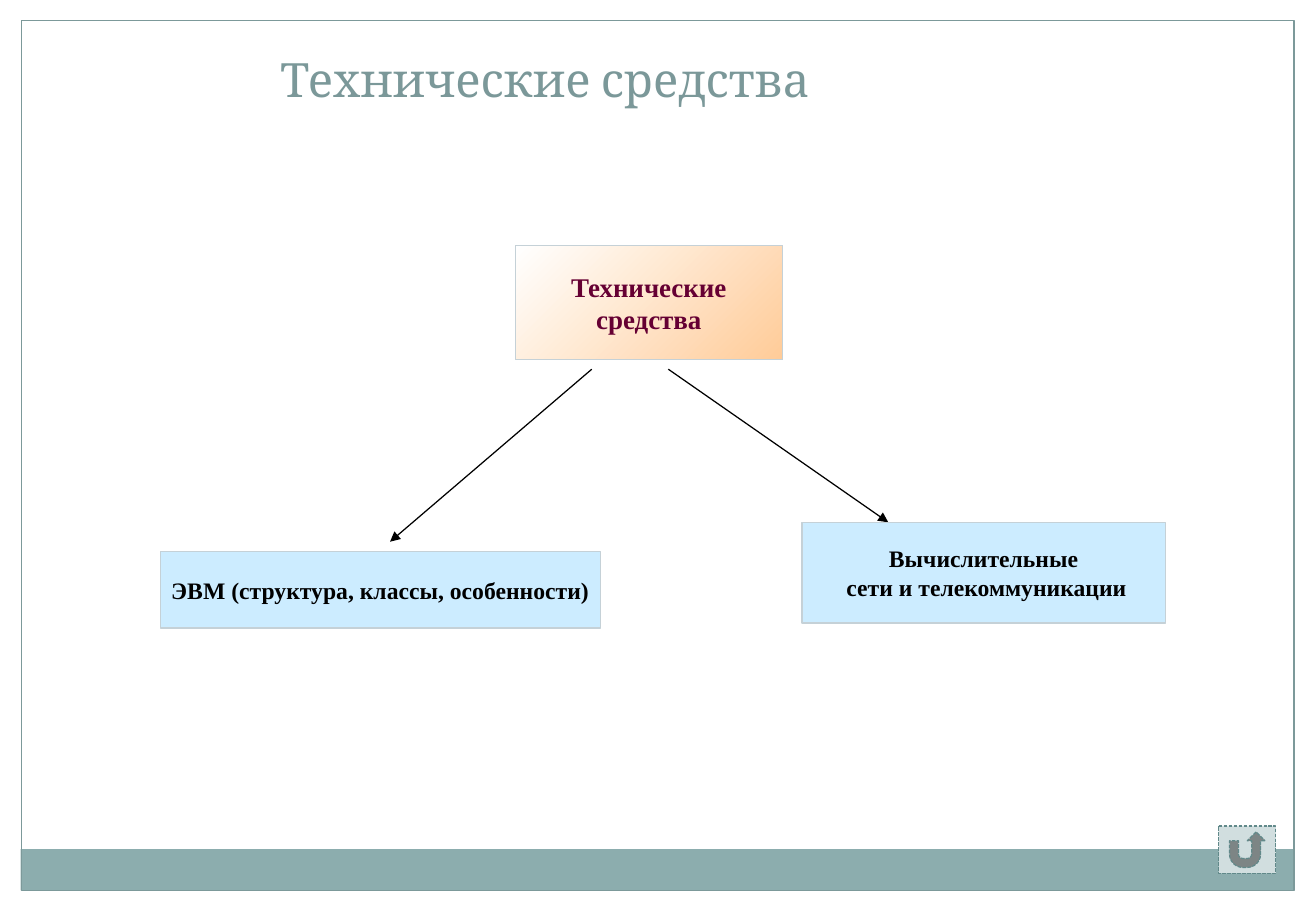
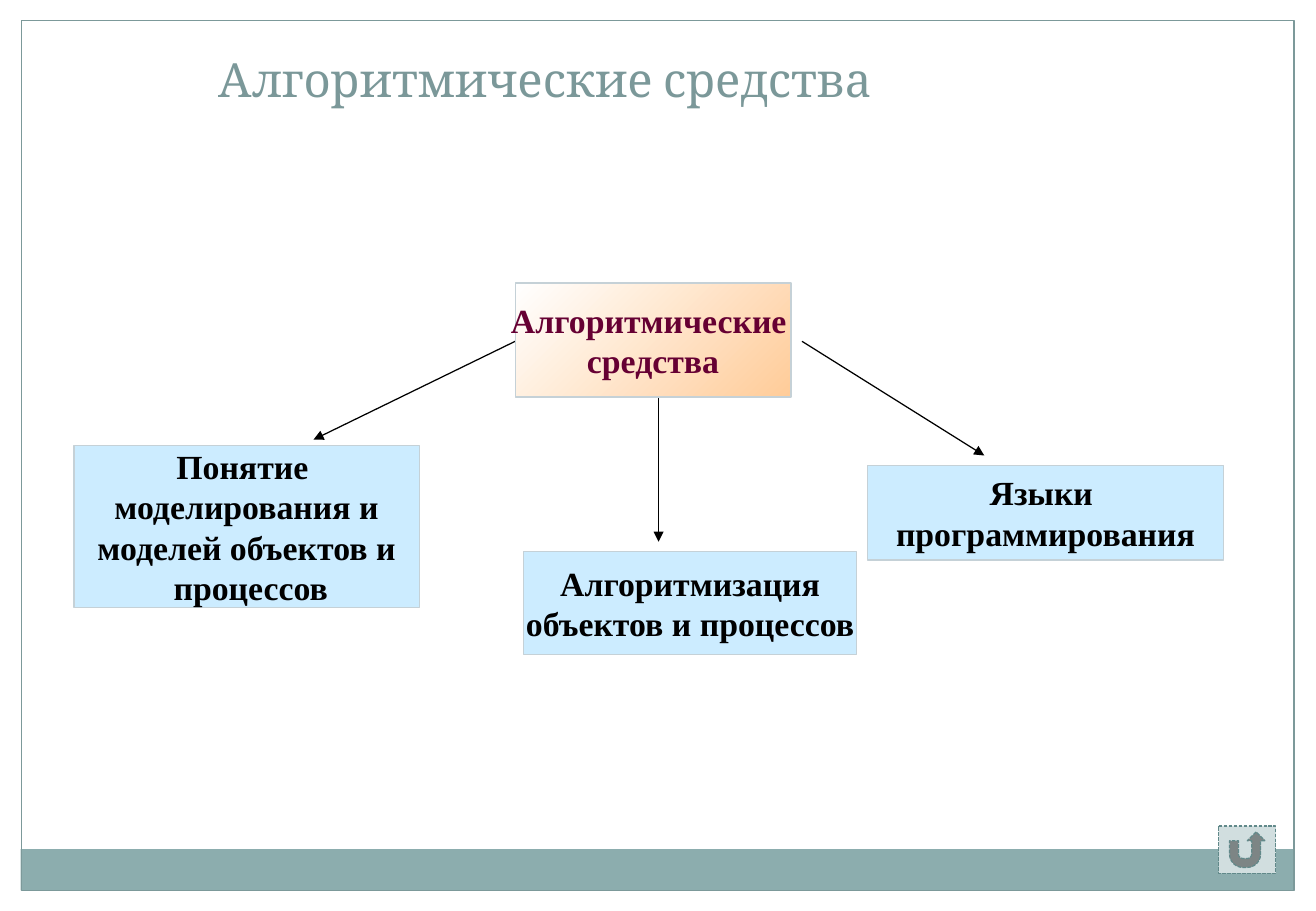
from dataclasses import dataclass

from lxml.etree import SubElement
from pptx import Presentation
from pptx.dml.color import RGBColor as RGB
from pptx.enum.dml import MSO_LINE as Dash
from pptx.enum.shapes import MSO_CONNECTOR as Link, MSO_SHAPE as Shape
from pptx.enum.text import MSO_ANCHOR as Anchor, PP_ALIGN as Align
from pptx.oxml.ns import qn
from pptx.util import Inches, Pt


@dataclass(frozen=True)
class Theme:
    title_font: str = "Cambria"
    body_font: str = "Times New Roman"
    title_size: int = 28
    line_width: float = 0.75
    title: str = "7B9899"
    frame: str = "7C999A"
    band: str = "8CADAE"
    root_text: str = "660033"
    root_fill: tuple = ("FFFFFF", "FFCC99")
    branch_text: str = "000000"
    branch_fill: str = "CCECFF"
    box_line: str = "C5D1D7"
    arrow: str = "000000"
    button_fill: str = "D1DEDF"
    button_line: str = "61898A"


THEME = Theme()

DIAGRAMS = [
    {
        "title": "Технические средства",
        "root": ((4.24, 2.02, 2.2, 0.94), 16, ["Технические", "средства"]),
        "branch_size": 14,
        "branches": [
            ((1.32, 4.54, 3.62, 0.63), ["ЭВМ (структура, классы, особенности)"]),
            ((6.6, 4.3, 2.99, 0.83), ["Вычислительные", " сети и телекоммуникации"]),
        ],
        "arrows": [((5.5, 3.04), (7.31, 4.3)), ((4.87, 3.04), (3.21, 4.46))],
    },
    {
        "title": "Алгоритмические средства",
        "root": ((4.24, 2.33, 2.27, 0.94), 20, ["Алгоритмические ", "средства"]),
        "branch_size": 20,
        "branches": [
            ((0.61, 3.67, 2.84, 1.33),
             ["Понятие ", "моделирования и", "моделей объектов и", " процессов"]),
            ((7.14, 3.83, 2.93, 0.78), ["Языки ", "программирования"]),
            ((4.31, 4.54, 2.74, 0.85), ["Алгоритмизация", "объектов и процессов"]),
        ],
        "arrows": [
            ((4.24, 2.81), (2.58, 3.62)),
            ((5.42, 3.28), (5.42, 4.46)),
            ((6.6, 2.81), (8.1, 3.75)),
        ],
    },
]


def rgb(value):
    return RGB.from_string(value)


def inches(values):
    return [Inches(value) for value in values]


def write(frame, lines, font, size, color, bold=False):
    for number, line in enumerate(lines):
        paragraph = frame.add_paragraph() if number else frame.paragraphs[0]
        paragraph.text = line
        paragraph.alignment = Align.CENTER
        paragraph.font.name = font
        paragraph.font.size = Pt(size)
        paragraph.font.bold = bold
        paragraph.font.color.rgb = rgb(color)


def add_panel(slide, at, fill=None, line=None, kind=Shape.RECTANGLE):
    panel = slide.shapes.add_shape(kind, *inches(at))
    panel.shadow.inherit = False
    if isinstance(fill, tuple):
        panel.fill.gradient()
        panel.fill.gradient_angle = 315
        for stop, color in zip(panel.fill.gradient_stops, fill):
            stop.color.rgb = rgb(color)
    elif fill:
        panel.fill.solid()
        panel.fill.fore_color.rgb = rgb(fill)
    else:
        panel.fill.background()
    if line:
        panel.line.color.rgb = rgb(line)
        panel.line.width = Pt(THEME.line_width)
    else:
        panel.line.fill.background()
    return panel


def add_box(slide, at, lines, size, fill, color):
    frame = add_panel(slide, at, fill, THEME.box_line).text_frame
    frame.word_wrap = False
    frame.vertical_anchor = Anchor.MIDDLE
    write(frame, lines, THEME.body_font, size, color, bold=True)


def add_arrow(slide, start, end):
    arrow = slide.shapes.add_connector(Link.STRAIGHT, *inches(start + end))
    arrow.line.color.rgb = rgb(THEME.arrow)
    arrow.line.width = Pt(THEME.line_width)
    SubElement(arrow.line._get_or_add_ln(), qn("a:tailEnd"), type="triangle")
    SubElement(arrow._element.spPr, qn("a:effectLst"))


def add_base(slide, title):
    add_panel(slide, (0.17, 6.99, 10.47, 0.34), fill=THEME.band)
    add_panel(slide, (0.18, 0.17, 10.47, 7.16), line=THEME.frame)
    heading = slide.shapes.add_textbox(*inches((0, 0.3, 8.97, 0.63))).text_frame
    heading.word_wrap = True
    heading.vertical_anchor = Anchor.BOTTOM
    write(heading, [title], THEME.title_font, THEME.title_size, THEME.title)


def add_return_button(slide):
    button = add_panel(slide, (10.03, 6.8, 0.47, 0.39), THEME.button_fill,
                       THEME.button_line, Shape.ACTION_BUTTON_RETURN)
    button.line.dash_style = Dash.SQUARE_DOT


def build_slide(deck, diagram):
    slide = deck.slides.add_slide(deck.slide_layouts[6])
    add_base(slide, diagram["title"])
    for start, end in diagram["arrows"]:
        add_arrow(slide, start, end)
    at, size, lines = diagram["root"]
    add_box(slide, at, lines, size, THEME.root_fill, THEME.root_text)
    for at, lines in diagram["branches"]:
        add_box(slide, at, lines, diagram["branch_size"],
                THEME.branch_fill, THEME.branch_text)
    add_return_button(slide)


def main():
    deck = Presentation()
    deck.slide_width, deck.slide_height = inches((10.83, 7.5))
    for diagram in DIAGRAMS:
        build_slide(deck, diagram)
    deck.save("out.pptx")


if __name__ == "__main__":
    main()
